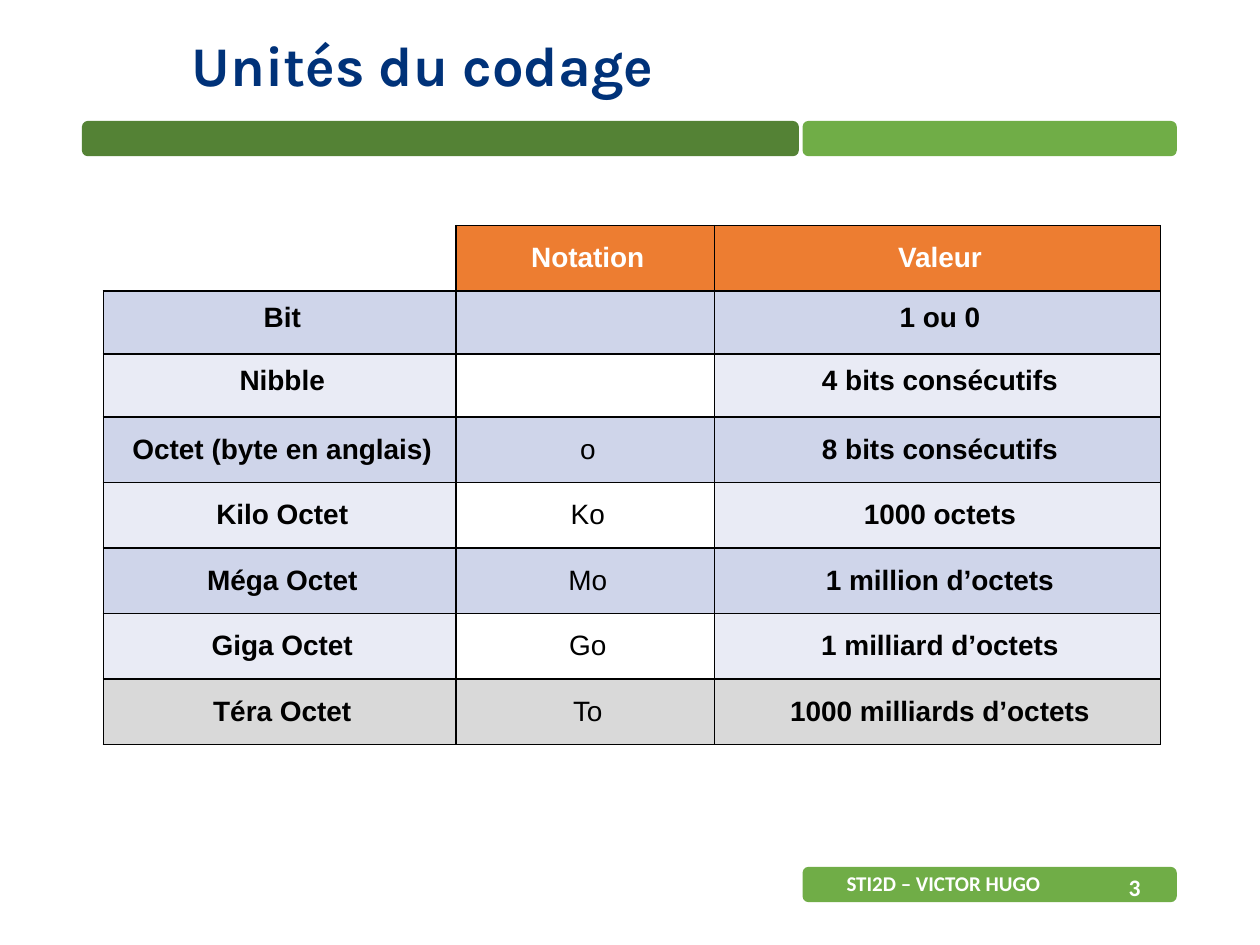
import pptx
import pptx.util
import pptx.dml.color
import pptx.enum.shapes
import pptx.enum.text
import pptx.oxml

Inches = pptx.util.Inches
Pt = pptx.util.Pt
Color = pptx.dml.color.RGBColor
Align = pptx.enum.text.PP_ALIGN
Anchor = pptx.enum.text.MSO_ANCHOR

NAVY = Color(0x00, 0x32, 0x79)
GREEN = Color(0x70, 0xAD, 0x47)
FOREST = Color(0x54, 0x82, 0x35)
ORANGE = Color(0xED, 0x7D, 0x31)
BLUE = Color(0xCF, 0xD5, 0xEA)
PALE = Color(0xE9, 0xEB, 0xF5)
GRAY = Color(0xD9, 0xD9, 0xD9)
WHITE = Color(0xFF, 0xFF, 0xFF)
BLACK = Color(0x00, 0x00, 0x00)

ROWS = [
    ("", "Notation", "Valeur"),
    ("Bit", "", "1 ou 0"),
    ("Nibble", "", "4 bits consécutifs"),
    ("Octet (byte en anglais)", "o", "8 bits consécutifs"),
    ("Kilo Octet", "Ko", "1000 octets"),
    ("Méga Octet", "Mo", "1 million d’octets"),
    ("Giga Octet", "Go", "1 milliard d’octets"),
    ("Téra Octet", "To", "1000 milliards d’octets"),
]
FILLS = [ORANGE] + [BLUE, PALE] * 3 + [GRAY]
TIGHT = (1, 2)


def write(frame, text, font="Calibri", size=12, color=WHITE, bold=True,
          align=Align.LEFT, lead=None, indent=0):
    para = frame.paragraphs[0]
    para.alignment = align
    if lead:
        para.line_spacing = lead
    if indent:
        para._p.get_or_add_pPr().set("marL", str(Inches(indent)))
    para.font.size = Pt(size)
    if text:
        run = para.add_run()
        run.text = text
        run.font.name = font
        run.font.size = Pt(size)
        run.font.bold = bold
        run.font.color.rgb = color


def border(cell, sides):
    props = cell._tc.get_or_add_tcPr()
    for place, side in enumerate(sides):
        line = pptx.oxml.parse_xml(
            f'<a:ln{side} xmlns:a="http://schemas.openxmlformats.org/drawingml/2006/main" w="12700">'
            f'<a:solidFill><a:srgbClr val="{BLACK}"/></a:solidFill></a:ln{side}>')
        props.insert(place, line)


class Deck:
    def __init__(self):
        self.show = pptx.Presentation()
        self.show.slide_width = Inches(10)
        self.show.slide_height = Inches(7.5)
        self.slide = self.show.slides.add_slide(self.show.slide_layouts[5])
        self.font = "Arial"
        self.pad = Inches(0.07)

    def title(self, text, *box):
        shape = self.slide.shapes.title
        shape.left, shape.top, shape.width, shape.height = map(Inches, box)
        frame = shape.text_frame
        frame.auto_size = pptx.enum.text.MSO_AUTO_SIZE.NONE
        frame.vertical_anchor = Anchor.MIDDLE
        frame.margin_left = frame.margin_right = self.pad
        frame.margin_top = frame.margin_bottom = 0
        write(frame, text, font="Karla", size=32, color=NAVY, lead=0.9)

    def bar(self, fill, *box):
        shape = self.slide.shapes.add_shape(
            pptx.enum.shapes.MSO_SHAPE.ROUNDED_RECTANGLE, *map(Inches, box))
        shape.shadow.inherit = False
        shape.fill.solid()
        shape.fill.fore_color.rgb = fill
        shape.line.fill.background()

    def label(self, text, size, *box):
        frame = self.slide.shapes.add_textbox(*map(Inches, box)).text_frame
        frame.word_wrap = True
        write(frame, text, size=size)

    def table(self, left, top, widths, heights):
        table = self.slide.shapes.add_table(
            len(heights), len(widths), Inches(left), Inches(top),
            Inches(sum(widths)), Inches(sum(heights))).table
        table.first_row = table.horz_banding = False
        for col, width in zip(table.columns, widths):
            col.width = Inches(width)
        for row, height in zip(table.rows, heights):
            row.height = Inches(height)
        for r, texts in enumerate(ROWS):
            for c, text in enumerate(texts):
                self.cell(table.cell(r, c), text, r, c)

    def cell(self, cell, text, r, c):
        corner = r == c == 0
        cell.vertical_anchor = Anchor.MIDDLE
        cell.margin_left = cell.margin_right = self.pad
        cell.margin_top = cell.margin_bottom = 0
        if corner or (c == 1 and FILLS[r] == PALE):
            cell.fill.background()
        else:
            cell.fill.solid()
            cell.fill.fore_color.rgb = FILLS[r]
        border(cell, "RB" if corner else "LRTB")
        write(cell.text_frame, text, font=self.font, size=16,
              color=BLACK if r else WHITE, bold=r == 0 or c != 1,
              align=Align.CENTER, indent=0.04,
              lead=Pt(12.9) if r in TIGHT else None)


def main():
    deck = Deck()
    deck.bar(GREEN, 6.37, 0.96, 2.97, 0.28)
    deck.bar(FOREST, 0.65, 0.96, 5.69, 0.28)
    deck.bar(GREEN, 6.37, 6.88, 2.97, 0.28)
    deck.title("Unités du codage", 1.45, 0, 7.92, 1.09)
    deck.label("STI2D – VICTOR HUGO", 12, 6.62, 6.86, 3.38, 0.23)
    deck.label("3", 13.5, 8.86, 6.88, 0.34, 0.23)
    heights = [0.5 if r in TIGHT else 0.52 for r in range(len(ROWS))]
    deck.table(0.82, 1.79, [2.8, 2.05, 3.54], heights)
    deck.show.save("out.pptx")


if __name__ == "__main__":
    main()
